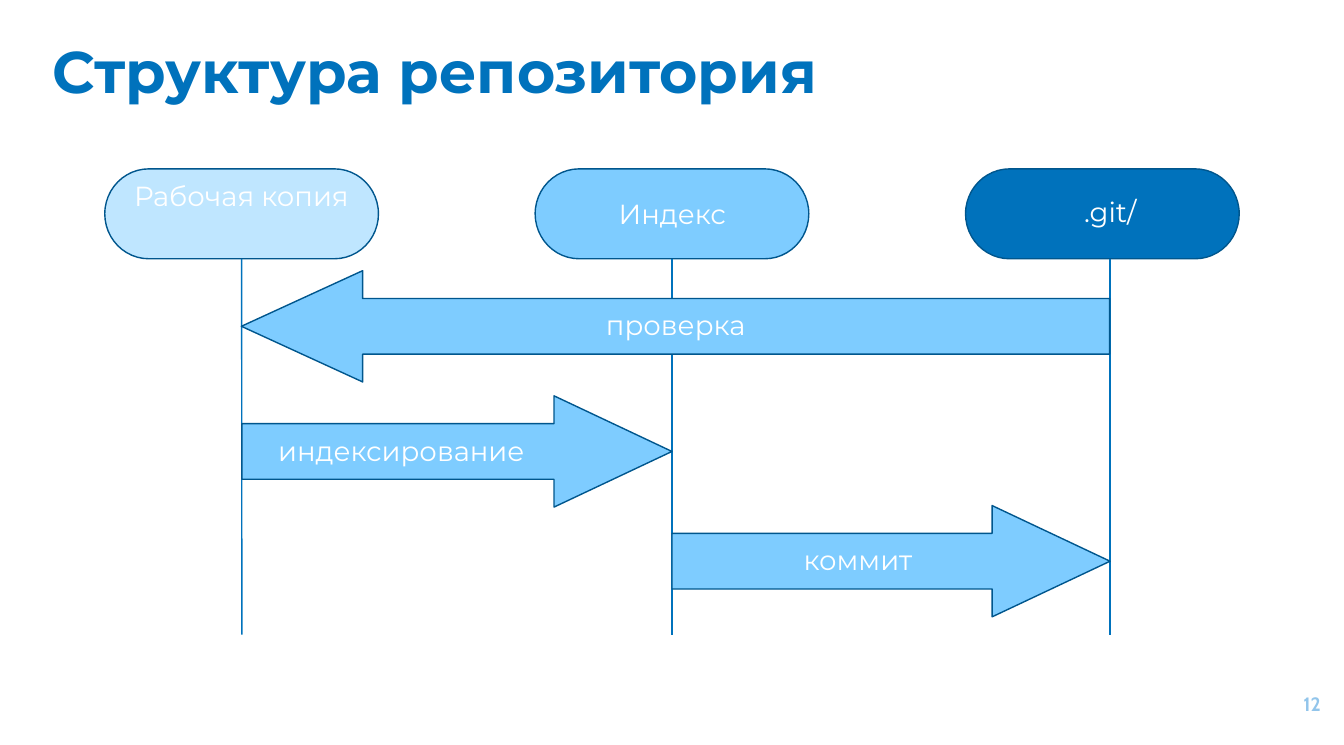
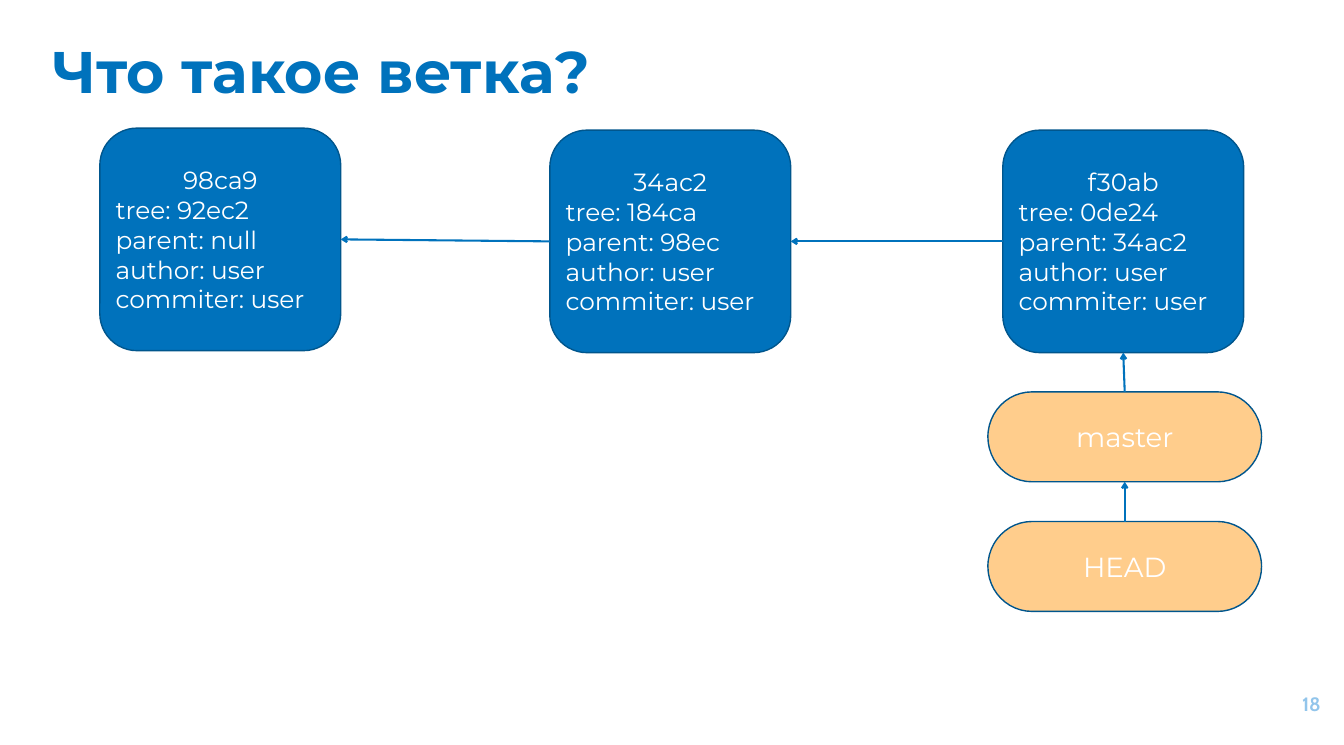
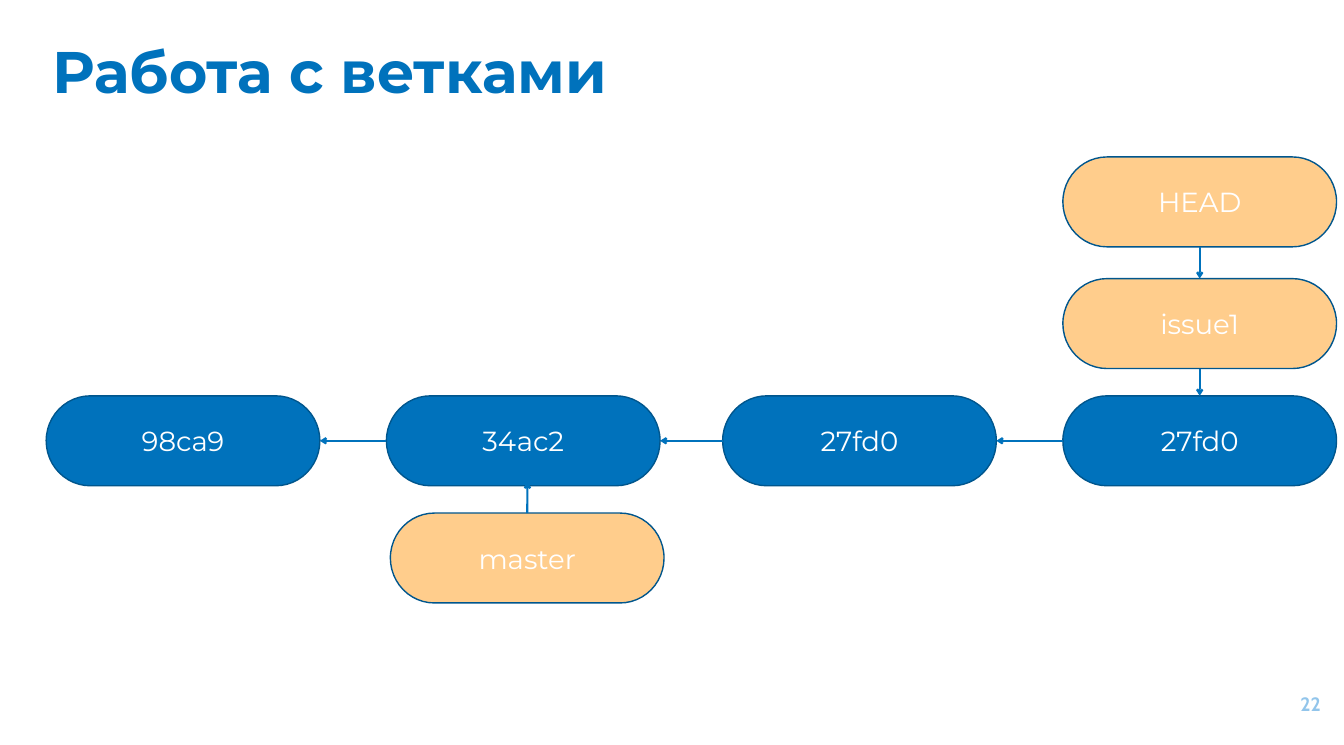
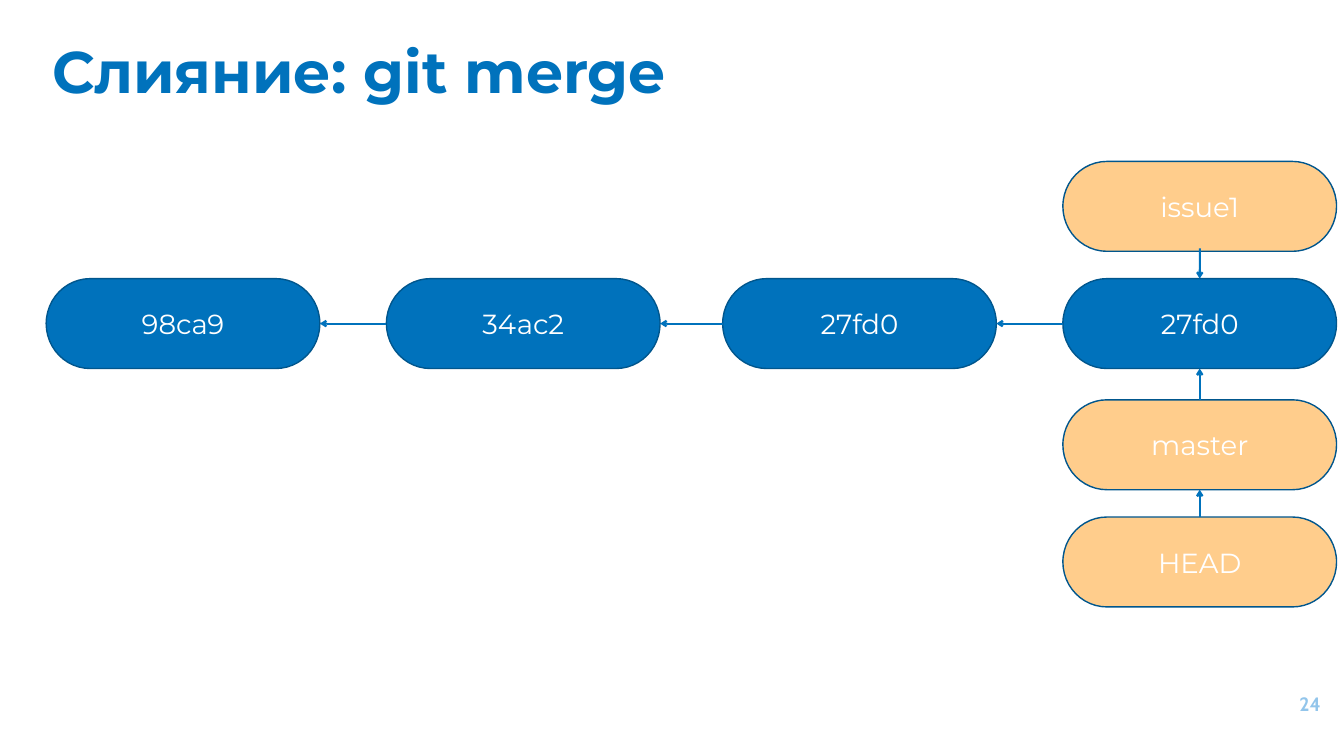
from dataclasses import dataclass
from typing import Optional

from lxml.etree import SubElement
from pptx import Presentation
from pptx.dml.color import RGBColor
from pptx.enum.shapes import MSO_CONNECTOR as Connector, MSO_SHAPE as Shape
from pptx.enum.text import MSO_ANCHOR as Anchor, PP_ALIGN as Align
from pptx.oxml.ns import qn
from pptx.util import Inches, Pt

COLORS = {
    "blue": "0072BC",
    "sky": "7ECCFF",
    "pale": "BFE6FF",
    "orange": "FFCD8C",
    "outline": "00568D",
    "number": "92C5EB",
    "white": "FFFFFF",
}
PILL_WIDTH, PILL_HEIGHT = 5.51, 1.81
CARD_WIDTH, CARD_HEIGHT = 4.85, 4.48
TOP, LEFT, BOTTOM, RIGHT = range(4)


@dataclass(frozen=True)
class Style:
    size: float
    color: str = "white"
    font: str = "Montserrat"
    bold: bool = False


TITLE = Style(85, "blue", bold=True)
NUMBER = Style(28, "number", "Cabin", True)
LABEL = Style(40)
DETAIL = Style(36)


@dataclass(frozen=True)
class Area:
    left: float
    top: float
    width: float
    height: float

    def lengths(self) -> tuple:
        return tuple(Inches(v) for v in (self.left, self.top, self.width, self.height))


@dataclass(frozen=True)
class Step:
    """A block arrow with its caption."""
    caption: str
    kind: Shape
    area: Area
    head: float
    caption_area: Area
    align: Align = Align.CENTER


@dataclass(frozen=True)
class Commit:
    name: str
    details: tuple
    left: float
    top: float


# Shared helpers
def rgb(name: str) -> RGBColor:
    return RGBColor.from_string(COLORS[name])


def write(para, text: str, style: Style, align: Align) -> None:
    para.alignment = align
    span = para.add_run()
    span.text = text
    span.font.name = style.font
    span.font.size = Pt(style.size)
    span.font.bold = style.bold
    span.font.color.rgb = rgb(style.color)


def add_text(page, text: str, area: Area, style: Style = LABEL,
             align: Align = Align.CENTER, anchor: Anchor = Anchor.TOP,
             inset: float = 0.05) -> None:
    frame = page.shapes.add_textbox(*area.lengths()).text_frame
    frame.word_wrap = True
    frame.vertical_anchor = anchor
    frame.margin_top = frame.margin_bottom = Inches(inset)
    write(frame.paragraphs[0], text, style, align)


def add_block(page, kind: Shape, area: Area, fill: str):
    block = page.shapes.add_shape(kind, *area.lengths())
    block.shadow.inherit = False
    block.fill.solid()
    block.fill.fore_color.rgb = rgb(fill)
    block.line.color.rgb = rgb("outline")
    block.line.width = Pt(2)
    return block


def add_pill(page, left: float, top: float, fill: str, text: str = ""):
    pill = add_block(page, Shape.FLOWCHART_TERMINATOR,
                     Area(left, top, PILL_WIDTH, PILL_HEIGHT), fill)
    if text:
        pill.text_frame.vertical_anchor = Anchor.MIDDLE
        write(pill.text_frame.paragraphs[0], text, LABEL, Align.CENTER)
    return pill


def add_line(page, start: tuple = (0, 0), end: tuple = (0, 0), width: float = 3,
             arrow: bool = True, source: Optional[tuple] = None,
             target: Optional[tuple] = None):
    """Draw a line; source and target are (shape, side) pairs to join."""
    line = page.shapes.add_connector(
        Connector.STRAIGHT, *(Inches(v) for v in (*start, *end)))
    if source:
        line.begin_connect(*source)
    if target:
        line.end_connect(*target)
    line.line.color.rgb = rgb("blue")
    line.line.width = Pt(width)
    properties = line._element.spPr
    if arrow:
        SubElement(properties.find(qn("a:ln")), qn("a:tailEnd"), type="arrow")
    SubElement(properties, qn("a:effectLst"))
    return line


def link(page, source, source_side: int, target, target_side: int) -> None:
    add_line(page, source=(source, source_side), target=(target, target_side))


def add_page(deck, title: str, number: int, title_width: float = 17.39):
    page = deck.slides.add_slide(deck.slide_layouts[6])
    add_text(page, title, Area(0.96, 0.61, title_width, 1.92), TITLE,
             Align.LEFT, inset=0.1)
    add_text(page, str(number), Area(25.07, 13.6, 1.62, 1.15), NUMBER,
             Align.RIGHT, Anchor.MIDDLE, 0.1)
    return page


def add_chain(page, top: float) -> list:
    """Draw the row of commits, each pointing to its parent."""
    names = ("98ca9", "34ac2", "27fd0", "27fd0")
    lefts = (0.93, 7.78, 14.55, 21.4)
    pills = [add_pill(page, left, top, "blue", name)
             for left, name in zip(lefts, names)]
    for parent, child in zip(pills, pills[1:]):
        link(page, child, LEFT, parent, RIGHT)
    return pills


# Slides
def structure_page(deck) -> None:
    page = add_page(deck, "Структура репозитория", 12, 20.7)
    places = [add_pill(page, 2.11 + 8.665 * index, 3.4, fill)
              for index, fill in enumerate(("pale", "sky", "blue"))]

    # Lifelines
    foot = 12.78
    add_line(page, (22.35, 5.22), (22.35, foot), 2, False)
    for place, x in ((places[1], 13.53), (places[0], 4.87)):
        add_line(page, end=(x, foot), width=2, arrow=False, source=(place, BOTTOM))

    # Names of the places
    add_text(page, "Рабочая копия", Area(2.36, 3.55, 5, 0.77))
    add_text(page, "Индекс", Area(11.27, 3.92, 4.53, 0.77))
    add_text(page, ".git/", Area(20.09, 3.88, 4.53, 0.77))

    # Transitions between the places
    steps = (
        Step("проверка", Shape.LEFT_ARROW, Area(4.86, 5.45, 17.48, 2.24), 1.09,
             Area(11.51, 6.16, 4.19, 0.77)),
        Step("индексирование", Shape.RIGHT_ARROW, Area(4.87, 7.97, 8.66, 2.24), 1.06,
             Area(5.5, 8.68, 5.61, 0.77), Align.LEFT),
        Step("коммит", Shape.RIGHT_ARROW, Area(13.53, 10.18, 8.82, 2.24), 1.06,
             Area(15.18, 10.89, 4.19, 0.77)),
    )
    for step in steps:
        block = add_block(page, step.kind, step.area, "sky")
        block.adjustments[0], block.adjustments[1] = 0.5, step.head
        add_text(page, step.caption, step.caption_area, align=step.align)


def branch_page(deck) -> None:
    page = add_page(deck, "Что такое ветка?", 18)
    commits = (
        Commit("98ca9", ("tree: 92ec2", "parent: null"), 2.01, 2.58),
        Commit("34ac2", ("tree: 184ca", "parent: 98ec"), 11.07, 2.62),
        Commit("f30ab", ("tree: 0de24", "parent: 34ac2"), 20.19, 2.62),
    )
    people = ("author: user", "commiter: user")
    cards = []
    for commit in commits:
        card = add_block(page, Shape.FLOWCHART_ALTERNATE_PROCESS,
                         Area(commit.left, commit.top, CARD_WIDTH, CARD_HEIGHT), "blue")
        frame = card.text_frame
        frame.vertical_anchor = Anchor.MIDDLE
        write(frame.paragraphs[0], commit.name, DETAIL, Align.CENTER)
        for detail in commit.details + people:
            write(frame.add_paragraph(), detail, DETAIL, Align.LEFT)
        cards.append(card)
    for parent, child in zip(cards, cards[1:]):
        link(page, child, LEFT, parent, RIGHT)

    # Pointers
    master = add_pill(page, 19.89, 7.89, "orange", "master")
    head = add_pill(page, 19.89, 10.5, "orange", "HEAD")
    link(page, master, TOP, cards[-1], BOTTOM)
    link(page, head, TOP, master, BOTTOM)


def work_page(deck) -> None:
    page = add_page(deck, "Работа с ветками", 22)
    chain = add_chain(page, 7.97)
    master = add_pill(page, 7.86, 10.33, "orange", "master")
    head = add_pill(page, 21.4, 3.16, "orange", "HEAD")
    issue = add_pill(page, 21.4, 5.61, "orange", "issue1")
    add_line(page, end=(10.62, 9.7), source=(master, TOP))
    link(page, issue, BOTTOM, chain[-1], TOP)
    link(page, head, BOTTOM, issue, TOP)


def merge_page(deck) -> None:
    page = add_page(deck, "Слияние: git merge", 24)
    chain = add_chain(page, 5.61)
    add_pill(page, 21.4, 3.25, "orange", "issue1")
    master = add_pill(page, 21.4, 8.05, "orange", "master")
    head = add_pill(page, 21.4, 10.41, "orange", "HEAD")
    add_line(page, start=(24.16, 5), target=(chain[-1], TOP))
    link(page, master, TOP, chain[-1], BOTTOM)
    link(page, head, TOP, master, BOTTOM)


def main() -> None:
    deck = Presentation()
    deck.slide_width, deck.slide_height = Inches(27.06), Inches(15)
    for build in (structure_page, branch_page, work_page, merge_page):
        build(deck)
    deck.save("out.pptx")


if __name__ == "__main__":
    main()
